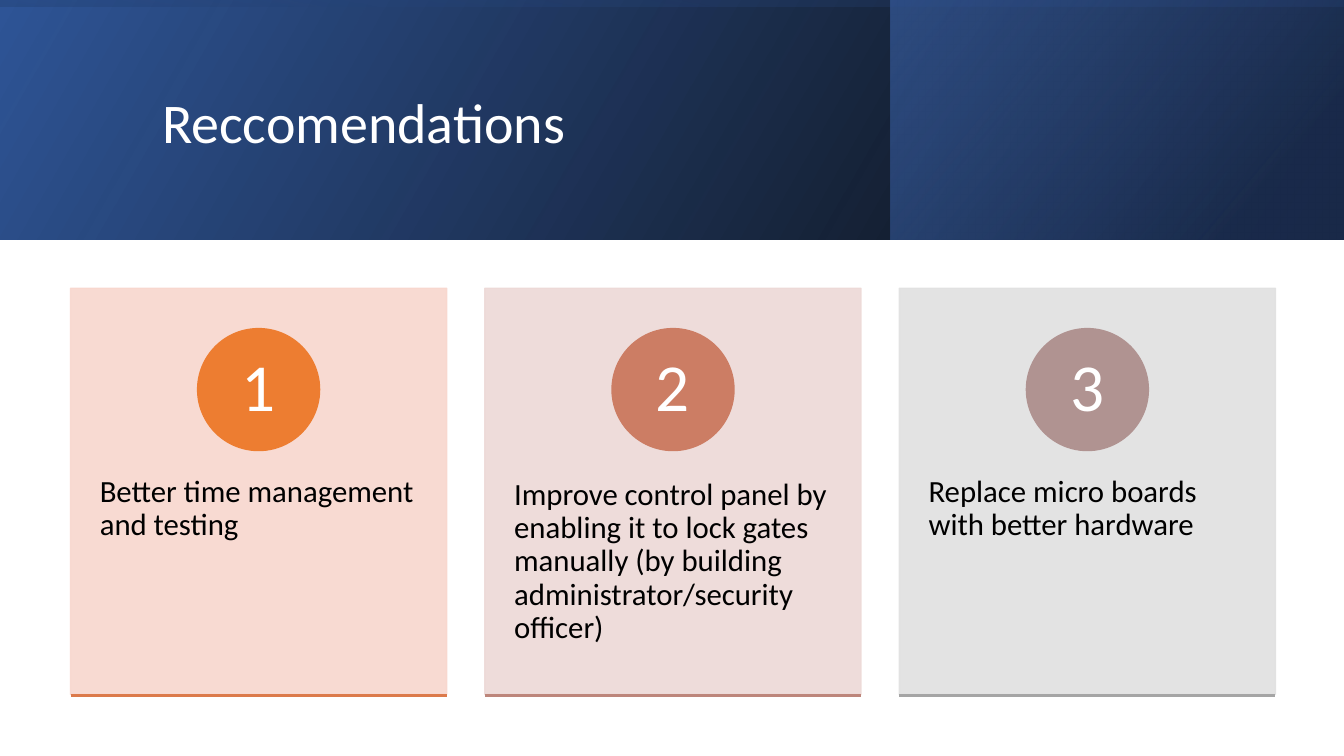
"""Build the recommendations slide: a gradient header above three numbered cards."""
import pptx
import pptx.dml.color
import pptx.enum.shapes
import pptx.enum.text
import pptx.oxml
import pptx.util

Inches = pptx.util.Inches
Pt = pptx.util.Pt
SHAPES = pptx.enum.shapes.MSO_SHAPE
ALIGN = pptx.enum.text.PP_ALIGN
ANCHOR = pptx.enum.text.MSO_ANCHOR
DRAWING = 'xmlns:a="http://schemas.openxmlformats.org/drawingml/2006/main"'


def rgb(value):
    return pptx.dml.color.RGBColor.from_string(value)


def write(frame, text, size, color, align, anchor, inset_x, inset_y):
    frame.word_wrap = True
    frame.vertical_anchor = anchor
    frame.margin_left = frame.margin_right = Inches(inset_x)
    frame.margin_top = frame.margin_bottom = Inches(inset_y)
    paragraph = frame.paragraphs[0]
    paragraph.alignment = align
    paragraph.line_spacing = 0.9
    run = paragraph.add_run()
    run.text = text
    run.font.name = "Calibri"
    run.font.size = Pt(size)
    run.font.color.rgb = rgb(color)


deck = pptx.Presentation()
deck.slide_width = Inches(13.33)
deck.slide_height = Inches(7.5)
slide = deck.slides.add_slide(deck.slide_layouts[6])

header_bands = [
    ((0, 0, 13.33, 2.38), 0, 330, [(0, "000000", 96), (1, "2F5597", 100)]),
    ((8.83, 0, 4.5, 2.38), 0, 320, [(0.19, "203864", 68), (1, "4472C4", 48)]),
    ((5.48, -5.48, 2.37, 13.33), 270, 350, [(0.23, "2F5597", 16), (0.99, "000000", 45)]),
]
for box, rotation, angle, stops in header_bands:
    band = slide.shapes.add_shape(SHAPES.RECTANGLE, *map(Inches, box))
    band.shadow.inherit = False
    band.rotation = rotation
    band.element.xpath("./p:spPr/a:xfrm")[0].set("flipH", "1")
    band.line.fill.background()
    band.fill.gradient()
    band.fill.gradient_angle = 360 - angle
    for stop, (position, color, opacity) in zip(band.fill.gradient_stops, stops):
        stop.position = position
        stop.color.rgb = rgb(color)
    for color_node, (position, color, opacity) in zip(band.element.xpath(".//a:gs/a:srgbClr"), stops):
        color_node.append(pptx.oxml.parse_xml(f'<a:alpha {DRAWING} val="{opacity * 1000}"/>'))

title = slide.shapes.add_textbox(Inches(1.51), Inches(0.38), Inches(10.63), Inches(1.72))
write(title.text_frame, "Reccomendations", 40, "FFFFFF", ALIGN.LEFT, ANCHOR.MIDDLE, 0.1, 0.05)

recommendations = [
    ("Better time management and testing", "F8D7CE", "ED7D31", "DC7A4B"),
    ("Improve control panel by enabling it to lock gates manually "
     "(by building administrator/security officer)", "EDD9D7", "CC7D64", "BD867B"),
    ("Replace micro boards with better hardware", "E1E1E1", "B09391", "A5A5A5"),
]
card_width, card_pitch, badge_size = 3.73, 4.11, 1.21
for index, (advice, card_color, badge_color, rule_color) in enumerate(recommendations):
    left = 0.7 + index * card_pitch
    badge_left = left + (card_width - badge_size) / 2

    card = slide.shapes.add_shape(
        SHAPES.RECTANGLE, Inches(left), Inches(2.86), Inches(card_width), Inches(4.03))
    badge = slide.shapes.add_shape(
        SHAPES.OVAL, Inches(badge_left), Inches(3.26), Inches(badge_size), Inches(badge_size))
    for part, color in ((card, card_color), (badge, badge_color)):
        part.shadow.inherit = False
        part.fill.solid()
        part.fill.fore_color.rgb = rgb(color)
        part.line.color.rgb = rgb(color)
        part.line.width = Pt(1)
    for color_node in card.element.xpath("./p:spPr//a:srgbClr"):
        color_node.append(pptx.oxml.parse_xml(f'<a:alpha {DRAWING} val="90000"/>'))
    write(badge.text_frame, str(index + 1), 48, "FFFFFF", ALIGN.CENTER, ANCHOR.MIDDLE, 0.09, 0.01)

    body = slide.shapes.add_textbox(Inches(left), Inches(4.39), Inches(card_width), Inches(2.42))
    write(body.text_frame, advice, 22, "000000", ALIGN.LEFT, ANCHOR.TOP, 0.29, 0.36)

    rule = slide.shapes.add_connector(
        pptx.enum.shapes.MSO_CONNECTOR.STRAIGHT,
        Inches(left), Inches(6.9), Inches(left + card_width), Inches(6.9))
    rule.line.color.rgb = rgb(rule_color)
    rule.line.width = Pt(1.5)
    rule.element.xpath("./p:spPr")[0].append(pptx.oxml.parse_xml(f"<a:effectLst {DRAWING}/>"))

deck.save("out.pptx")
